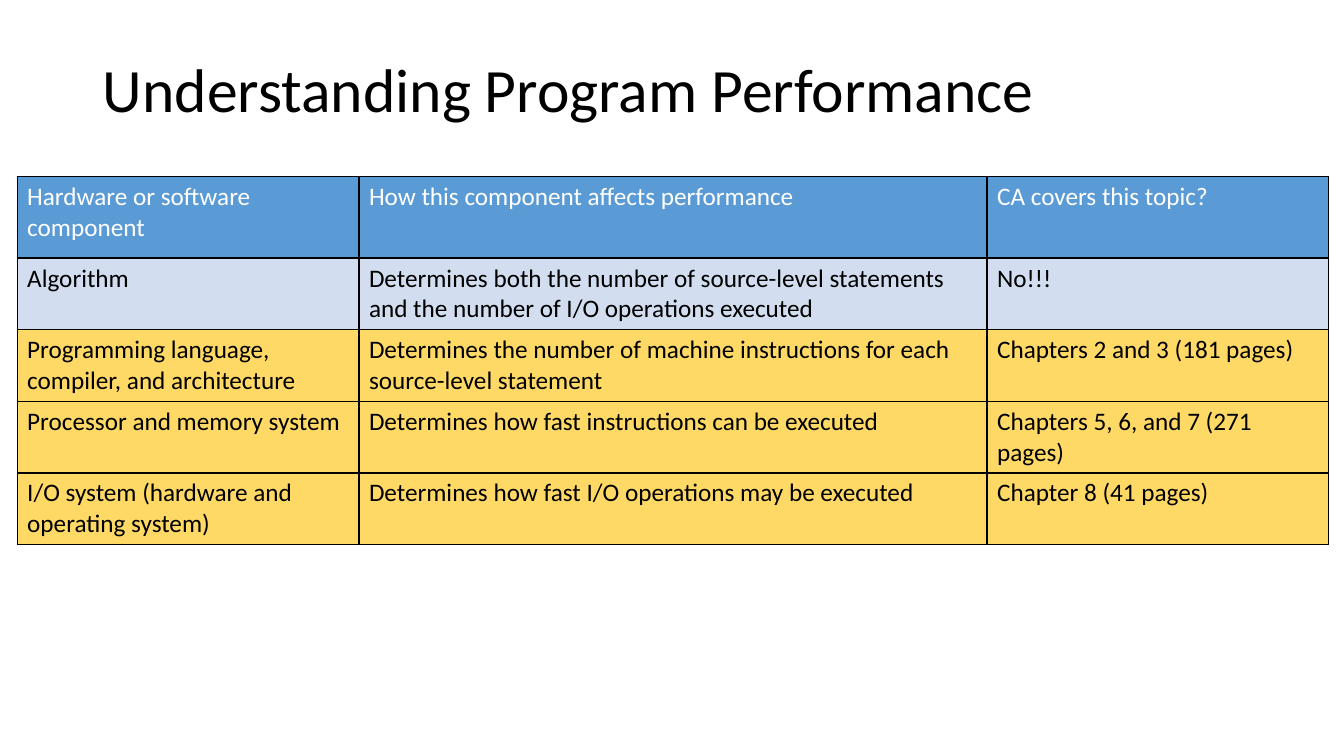
import pptx
import pptx.dml.color
import pptx.enum.text
import pptx.oxml
import pptx.oxml.ns
import pptx.util
from dataclasses import dataclass


@dataclass(frozen=True)
class Theme:
    font: str = "Calibri"
    title_size: int = 44
    cell_size: int = 18
    ink: str = "000000"
    header_ink: str = "FFFFFF"
    header_fill: str = "5B9BD5"
    uncovered_fill: str = "D2DEEF"
    covered_fill: str = "FFD966"
    border_width: int = 1


THEME = Theme()
Inches = pptx.util.Inches


def write_paragraph(para, text, size, color):
    span = para.add_run()
    span.text = text
    span.font.name = THEME.font
    span.font.size = pptx.util.Pt(size)
    span.font.bold = False
    span.font.color.rgb = pptx.dml.color.RGBColor.from_string(color)


def add_borders(cell):
    properties = cell._tc.get_or_add_tcPr()
    for side in ("lnL", "lnR", "lnT", "lnB"):
        properties.append(pptx.oxml.parse_xml(
            f'<a:{side} {pptx.oxml.ns.nsdecls("a")} w="{pptx.util.Pt(THEME.border_width)}">'
            f'<a:solidFill><a:srgbClr val="{THEME.ink}"/></a:solidFill></a:{side}>'))


deck = pptx.Presentation()
deck.slide_width = Inches(13.33)
deck.slide_height = Inches(7.5)
page = deck.slides.add_slide(deck.slide_layouts[5])

# Title
title = page.shapes.title
title.left, title.top = Inches(0.92), Inches(0.4)
title.width, title.height = Inches(11.5), Inches(1.04)
frame = title.text_frame
frame.auto_size = pptx.enum.text.MSO_AUTO_SIZE.NONE
frame.vertical_anchor = pptx.enum.text.MSO_ANCHOR.MIDDLE
heading = frame.paragraphs[0]
heading.alignment = pptx.enum.text.PP_ALIGN.LEFT
heading.line_spacing = 0.9
write_paragraph(heading, "Understanding Program Performance", THEME.title_size, THEME.ink)

# Each row: fill, text colour, then one text per column; a line break starts a paragraph
table_rows = [
    (THEME.header_fill, THEME.header_ink,
     ["Hardware or software\ncomponent",
      "How this component affects performance",
      "CA covers this topic?"]),
    (THEME.uncovered_fill, THEME.ink,
     ["Algorithm",
      "Determines both the number of source-level statements "
      "and the number of I/O operations executed",
      "No!!!"]),
    (THEME.covered_fill, THEME.ink,
     ["Programming language, compiler, and architecture",
      "Determines the number of machine instructions for each source-level statement",
      "Chapters 2 and 3 (181 pages)"]),
    (THEME.covered_fill, THEME.ink,
     ["Processor and memory system",
      "Determines how fast instructions can be executed",
      "Chapters 5, 6, and 7 (271 pages)"]),
    (THEME.covered_fill, THEME.ink,
     ["I/O system (hardware and\noperating system)",
      "Determines how fast I/O operations may be executed",
      "Chapter 8 (41 pages)"]),
]
column_widths = [3.39, 6.23, 3.39]
row_heights = [0.81] + [0.71] * (len(table_rows) - 1)

table = page.shapes.add_table(
    len(row_heights), len(column_widths), Inches(0.17), Inches(1.75),
    Inches(sum(column_widths)), Inches(sum(row_heights))).table
for column, width in zip(table.columns, column_widths):
    column.width = Inches(width)

for row, height, (fill, ink, texts) in zip(table.rows, row_heights, table_rows):
    row.height = Inches(height)
    for cell, text in zip(row.cells, texts):
        add_borders(cell)
        cell.fill.solid()
        cell.fill.fore_color.rgb = pptx.dml.color.RGBColor.from_string(fill)
        for number, line in enumerate(text.split("\n")):
            para = cell.text_frame.add_paragraph() if number else cell.text_frame.paragraphs[0]
            write_paragraph(para, line, THEME.cell_size, ink)

deck.save("out.pptx")
